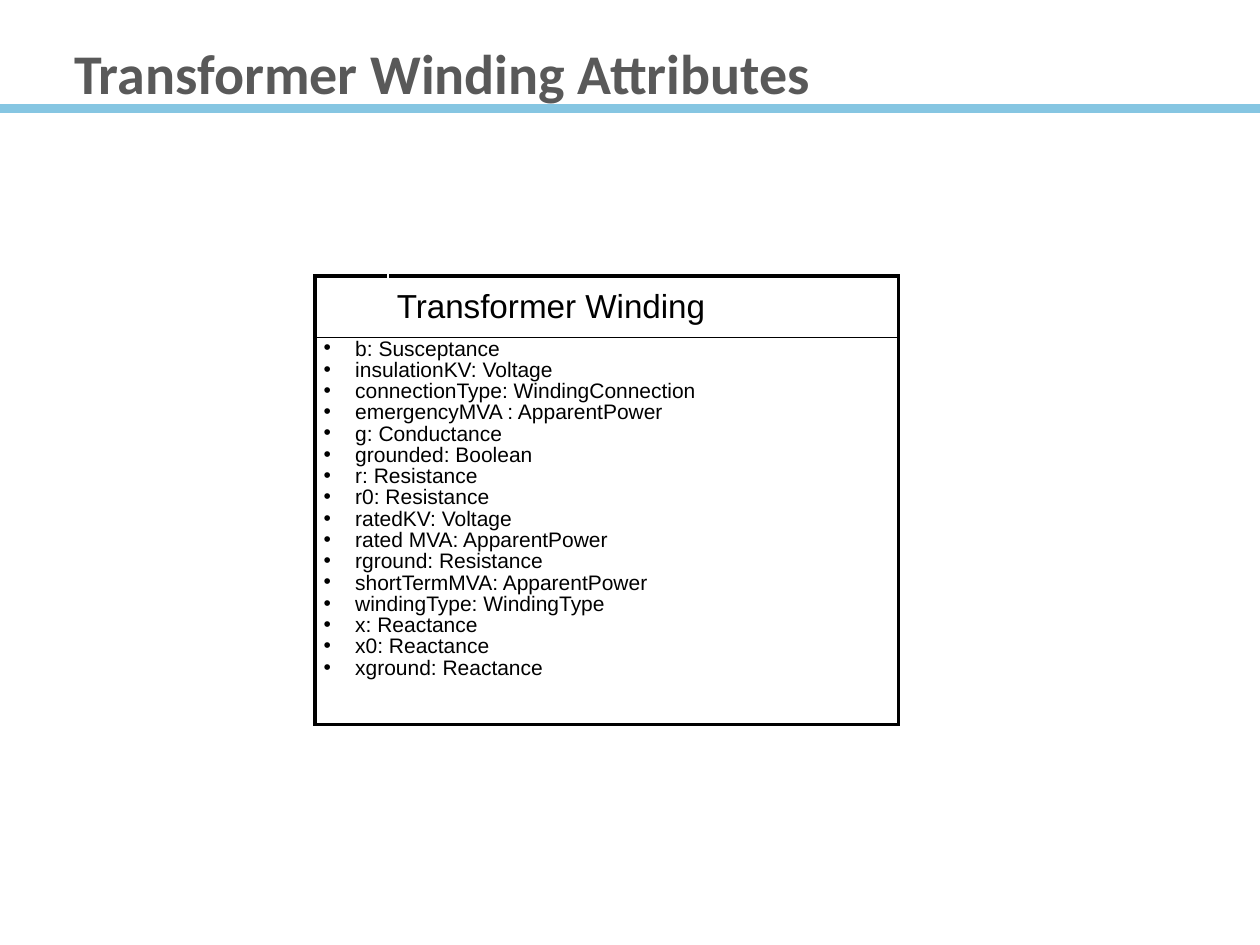
"""Build the Transformer Winding attributes slide."""
from lxml import etree
from pptx import Presentation, util as u
from pptx.dml.color import RGBColor
from pptx.enum import shapes, text
from pptx.oxml.ns import qn

Pt = u.Pt
COLORS = {"title": "595959", "rule": "86C6E2", "ink": "000000"}
TITLE = "Transformer Winding Attributes"
CLASS_NAME = "Transformer Winding"
ATTRIBUTES = [
    "b: Susceptance",
    "insulationKV: Voltage",
    "connectionType: WindingConnection",
    "emergencyMVA : ApparentPower",
    "g: Conductance",
    "grounded: Boolean",
    "r: Resistance",
    "r0: Resistance",
    "ratedKV: Voltage",
    "rated MVA: ApparentPower",
    "rground: Resistance",
    "shortTermMVA: ApparentPower",
    "windingType: WindingType",
    "x: Reactance",
    "x0: Reactance",
    "xground: Reactance",
]
COLUMNS = [41.76, 291.6]
ROWS = [35.28, 221.04]
THICK, THIN = 2.25, 1
BORDERS = {
    (0, 0): {"L": THICK, "T": THICK, "B": THIN},
    (0, 1): {"R": THICK, "T": THICK, "B": THIN},
    (1, 0): {"L": THICK, "R": THICK, "T": THIN, "B": THICK},
    (1, 1): {"R": THICK, "T": THIN, "B": THICK},
}


def write(p, content, size, font="Arial", color="ink", bold=False, bullet=False):
    r = p.add_run()
    r.text = content
    r.font.size, r.font.name, r.font.bold = Pt(size), font, bold
    r.font.color.rgb = RGBColor.from_string(COLORS[color])
    if bullet:
        p.line_spacing, p.space_before = 0.7, Pt(2.75)
        pPr = p._p.get_or_add_pPr()
        pPr.set("marL", str(Pt(18)))
        pPr.set("indent", str(-Pt(18)))
        clr = etree.SubElement(pPr, qn("a:buClr"))
        etree.SubElement(clr, qn("a:srgbClr"), val=COLORS[color])
        etree.SubElement(pPr, qn("a:buFont"), typeface=font)
        etree.SubElement(pPr, qn("a:buChar"), char="•")


def style_cell(cell, borders):
    cell.margin_left = cell.margin_right = Pt(5)
    cell.margin_top = cell.margin_bottom = Pt(3)
    tcPr = cell._tc.get_or_add_tcPr()
    for side in "LRTB":
        if side in borders:
            ln = etree.SubElement(tcPr, qn(f"a:ln{side}"), w=str(Pt(borders[side])))
            fill = etree.SubElement(ln, qn("a:solidFill"))
            etree.SubElement(fill, qn("a:srgbClr"), val=COLORS["ink"])
    cell.fill.background()


def main():
    prs = Presentation()
    prs.slide_width, prs.slide_height = Pt(720), Pt(540)
    s = prs.slides.add_slide(prs.slide_layouts[6])

    rule = s.shapes.add_connector(shapes.MSO_CONNECTOR.STRAIGHT, 0, Pt(62), Pt(720), Pt(62))
    rule.line.color.rgb = RGBColor.from_string(COLORS["rule"])
    rule.line.width = Pt(5)
    etree.SubElement(rule._element.spPr, qn("a:effectLst"))

    tf = s.shapes.add_textbox(Pt(35.28), Pt(12.24), Pt(648), Pt(58.32)).text_frame
    tf.word_wrap = True
    tf.vertical_anchor = text.MSO_ANCHOR.MIDDLE
    write(tf.paragraphs[0], TITLE, 32, font="Calibri", color="title", bold=True)

    table = s.shapes.add_table(
        len(ROWS), len(COLUMNS), Pt(180), Pt(157.68), Pt(sum(COLUMNS)), Pt(sum(ROWS))
    ).table
    table.first_row = table.horz_banding = False
    for column, width in zip(table.columns, COLUMNS):
        column.width = Pt(width)
    for row, height in zip(table.rows, ROWS):
        row.height = Pt(height)
    for position, borders in BORDERS.items():
        style_cell(table.cell(*position), borders)

    header, body = table.cell(0, 1), table.cell(1, 0)
    body.merge(table.cell(1, 1))
    header.vertical_anchor = text.MSO_ANCHOR.MIDDLE
    write(header.text_frame.paragraphs[0], CLASS_NAME, 19)
    tf = body.text_frame
    for i, attribute in enumerate(ATTRIBUTES):
        p = tf.add_paragraph() if i else tf.paragraphs[0]
        write(p, attribute, 12, bullet=True)

    prs.save("out.pptx")


if __name__ == "__main__":
    main()
